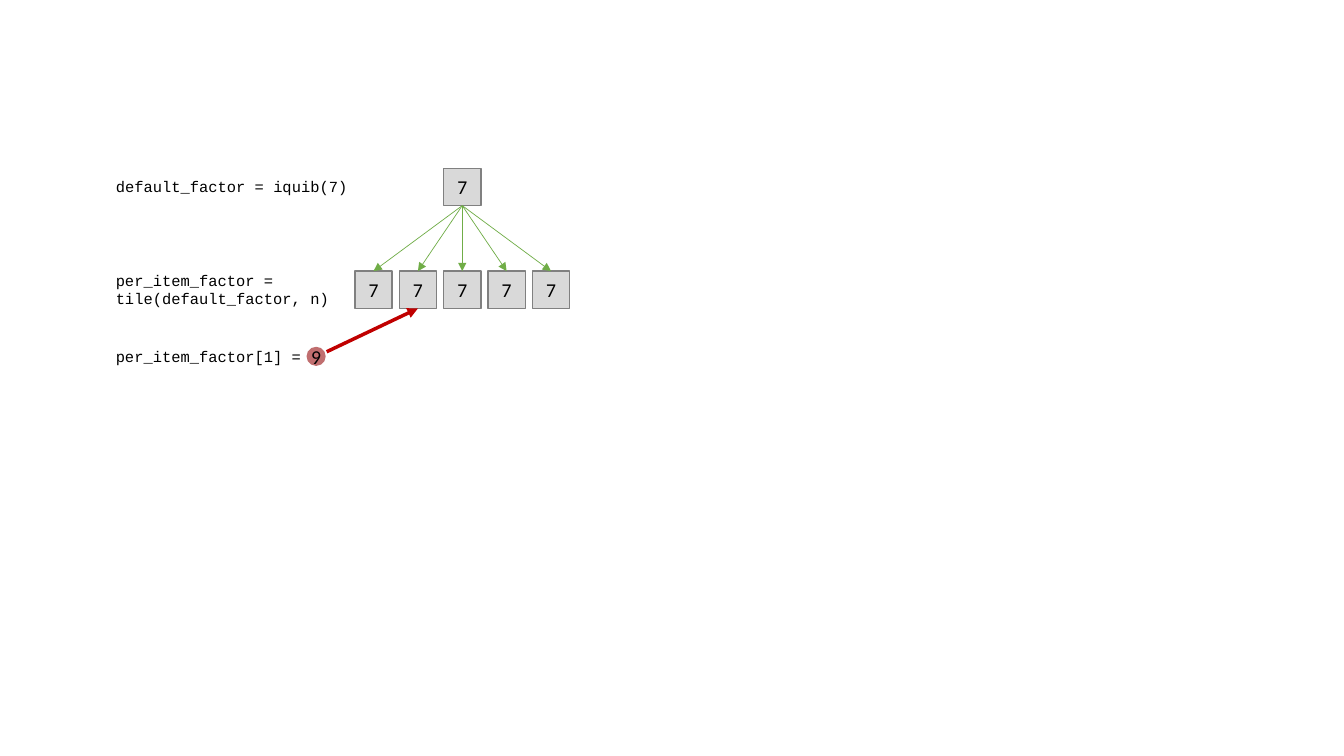
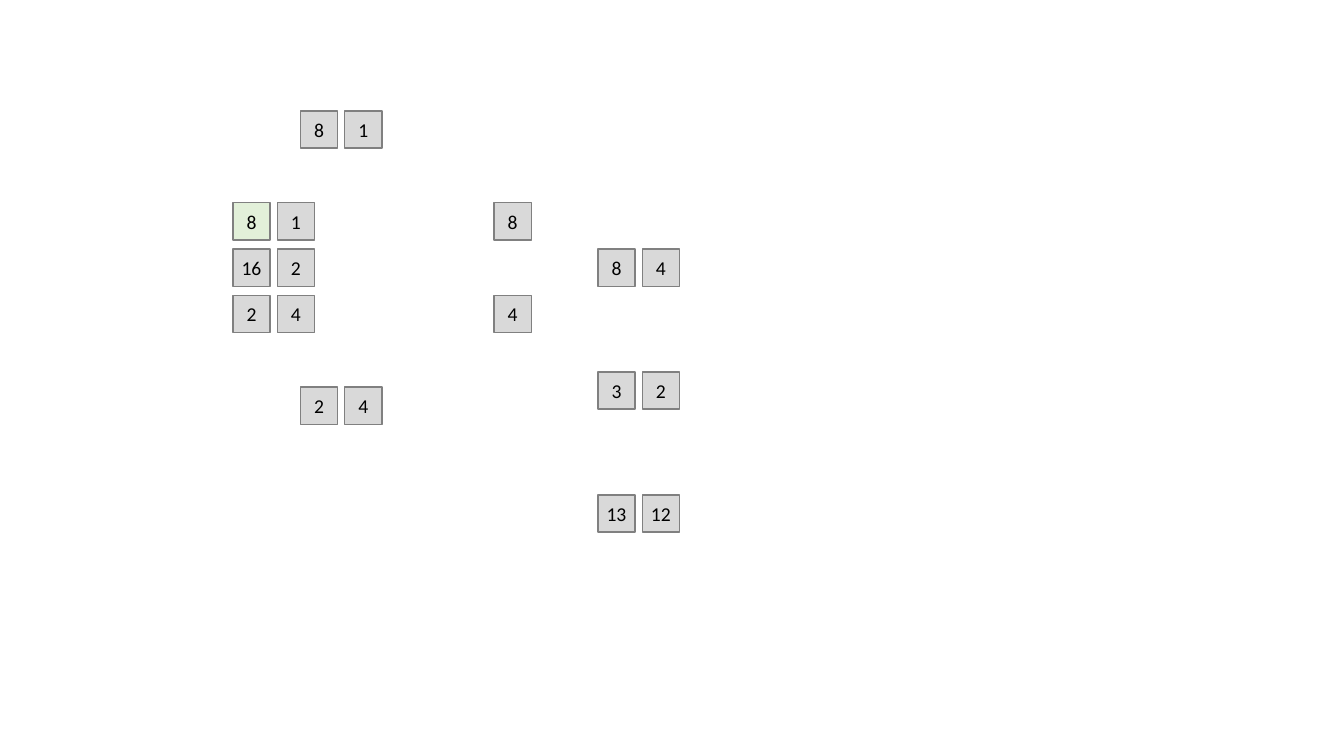
from lxml.etree import SubElement
from pptx import Presentation
from pptx.dml.color import RGBColor
from pptx.enum.shapes import MSO_CONNECTOR, MSO_SHAPE
from pptx.enum.text import MSO_ANCHOR, MSO_AUTO_SIZE, PP_ALIGN
from pptx.oxml.ns import qn
from pptx.util import Inches, Pt

COLORS = {
    "text": "000000", "cell": "D9D9D9", "border": "808080", "selected": "E2F0D9",
    "assigned": "C06E6F", "assignment": "C00000", "dependency": "70AD47",
}
CELL, COLUMN, ROW = 0.37, 0.44, 0.46
TOP, BOTTOM = 0, 2  # connection sites of a rectangle

# Code lines: left, top, width, height, lines
CODE = [
    (1.05, 1.71, 2.52, 0.29, ["default_factor = iquib(7)"]),
    (1.05, 2.64, 2.34, 0.47, ["per_item_factor =", "tile(default_factor, n)"]),
    (1.05, 3.39, 2.06, 0.29, ["per_item_factor[1] ="]),
]
DEFAULT_FACTOR = (4.4, 1.67, [["7"]])
ITEM_FACTORS = (3.52, 2.69, [["7"] * 5])
ASSIGNED_INDEX = 1

# Arrays: left, top, rows of values (None leaves a gap)
ARRAYS = [
    (2.31, 2.01, [["8", "1"], ["16", "2"], ["2", "4"]]),
    (4.9, 2.01, [["8"], [None], ["4"]]),
    (5.93, 2.47, [["8", "4"]]),
    (5.93, 3.69, [["3", "2"]]),
    (5.93, 4.91, [["13", "12"]]),
    (2.98, 1.1, [["8", "1"]]),
    (2.98, 3.84, [["2", "4"]]),
]


def color(name):
    return RGBColor.from_string(COLORS[name])


def style_text(frame, font, size):
    for para in frame.paragraphs:
        for span in para.runs:
            span.font.name = font
            span.font.size = Pt(size)
            span.font.color.rgb = color("text")


def add_value(slide, preset, left, top, size, value, fill, border=None):
    box = slide.shapes.add_shape(preset, *map(Inches, (left, top, size, size)))
    box.shadow.inherit = False
    box.fill.solid()
    box.fill.fore_color.rgb = color(fill)
    if border:
        box.line.color.rgb = color(border)
        box.line.width = Pt(1)
    else:
        box.line.fill.background()
    frame = box.text_frame
    frame.margin_left = frame.margin_right = 0
    frame.word_wrap = False
    frame.vertical_anchor = MSO_ANCHOR.MIDDLE
    frame.text = value
    frame.paragraphs[0].alignment = PP_ALIGN.CENTER
    style_text(frame, "Calibri", 14)
    return box


def add_array(slide, left, top, rows):
    """Draw a grid of cells and return them row by row."""
    return [
        add_value(slide, MSO_SHAPE.RECTANGLE, left + column * COLUMN,
                  top + row * ROW, CELL, value, "cell", "border")
        for row, values in enumerate(rows)
        for column, value in enumerate(values) if value is not None
    ]


def add_code(slide, left, top, width, height, lines):
    box = slide.shapes.add_textbox(*map(Inches, (left, top, width, height)))
    frame = box.text_frame
    frame.word_wrap = False
    frame.auto_size = MSO_AUTO_SIZE.SHAPE_TO_FIT_TEXT
    frame.text = "\n".join(lines)
    style_text(frame, "Courier New", 11)


def add_arrow(slide, start, target, site, line_color, width):
    """Draw an arrow from a point to a connection site of the target cell."""
    arrow = slide.shapes.add_connector(MSO_CONNECTOR.STRAIGHT, *start, *start)
    arrow.end_connect(target, site)
    arrow.line.color.rgb = color(line_color)
    arrow.line.width = Pt(width)
    SubElement(arrow.line._get_or_add_ln(), qn("a:tailEnd"), type="triangle")
    SubElement(arrow._element.spPr, qn("a:effectLst"))
    return arrow


def build_factors(slide):
    for code in CODE:
        add_code(slide, *code)
    default, = add_array(slide, *DEFAULT_FACTOR)
    items = add_array(slide, *ITEM_FACTORS)
    for item in items:
        arrow = add_arrow(slide, (default.left, default.top), item, TOP, "dependency", 0.5)
        arrow.begin_connect(default, BOTTOM)
    add_arrow(slide, (Inches(3.24), Inches(3.49)), items[ASSIGNED_INDEX], BOTTOM,
              "assignment", 2.5)
    add_value(slide, MSO_SHAPE.OVAL, 3.04, 3.44, 0.19, "9", "assigned")


def build_arrays(slide):
    cells = [add_array(slide, *array) for array in ARRAYS]
    cells[0][0].fill.fore_color.rgb = color("selected")


def main():
    deck = Presentation()
    deck.slide_width, deck.slide_height = Inches(13.33), Inches(7.5)
    blank = deck.slide_layouts[6]
    for build in (build_factors, build_arrays):
        build(deck.slides.add_slide(blank))
    deck.save("out.pptx")


if __name__ == "__main__":
    main()
